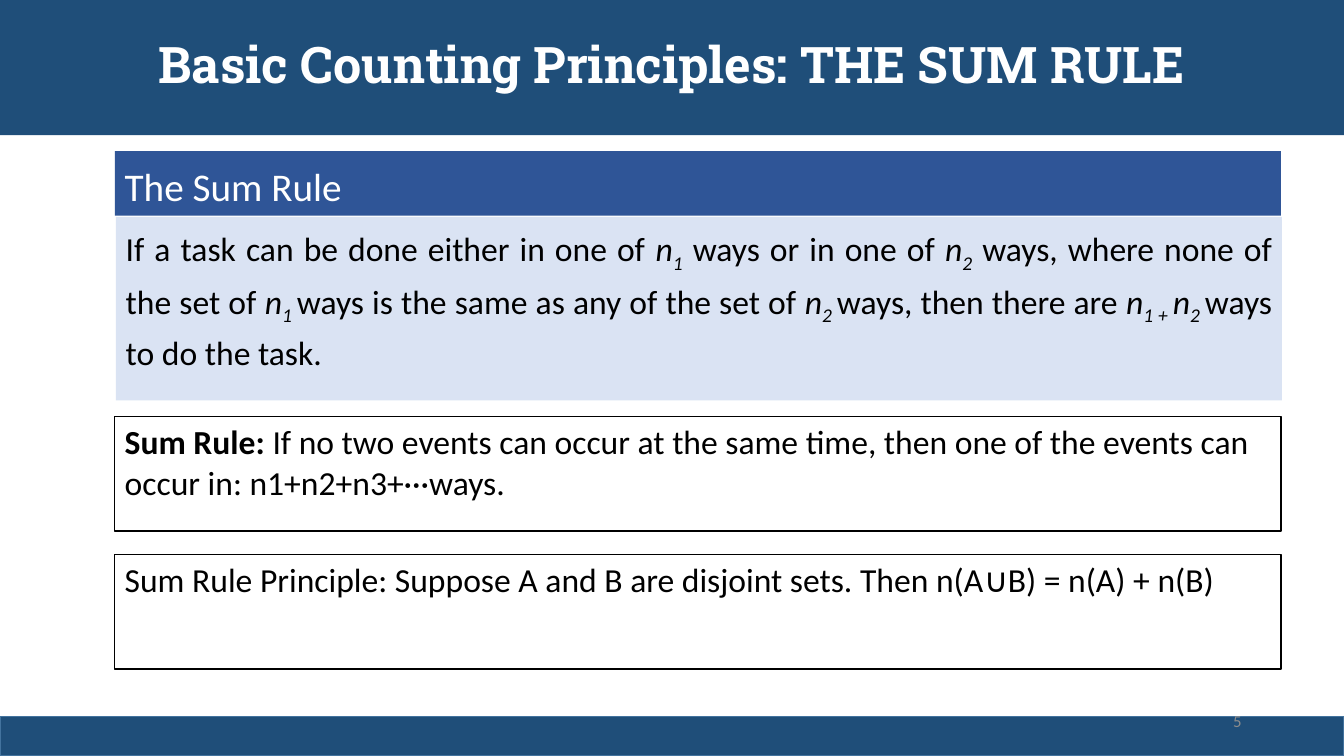
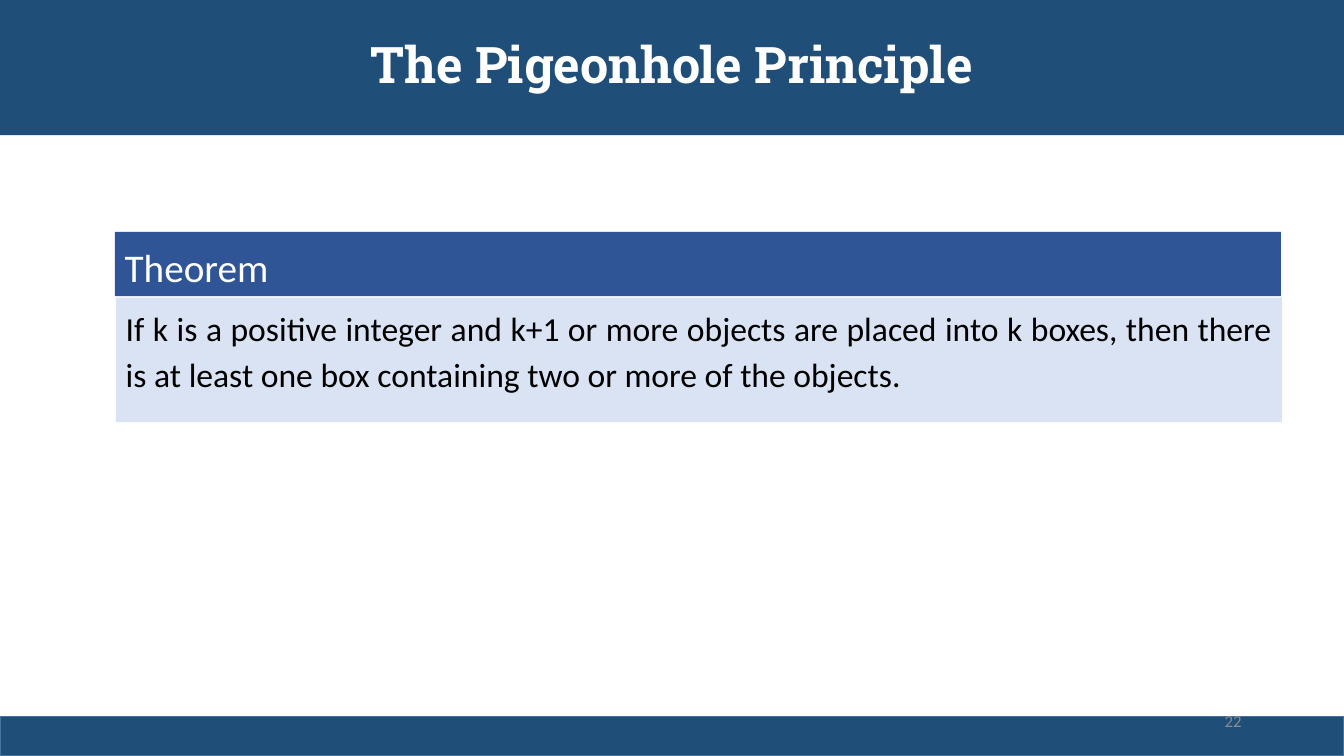
from pptx import Presentation
from pptx.dml.color import RGBColor
from pptx.enum.shapes import MSO_SHAPE
from pptx.enum.text import MSO_ANCHOR, PP_ALIGN
from pptx.util import Pt

COLORS = {
    "band": "1F4E79",
    "band_edge": "43739E",
    "heading": "2F5597",
    "panel": "DAE3F3",
    "white": "FFFFFF",
    "black": "000000",
    "number": "8C8C8C",
}
WIDTH, HEIGHT = 960, 540
LEFT, CONTENT_WIDTH = 82, 833
FOOTER_HEIGHT = 28


def add_box(page, left, top, width, height, fill=None, line=None):
    box = page.shapes.add_shape(MSO_SHAPE.RECTANGLE, Pt(left), Pt(top), Pt(width), Pt(height))
    box.shadow.inherit = False
    if fill:
        box.fill.solid()
        box.fill.fore_color.rgb = RGBColor.from_string(COLORS[fill])
    else:
        box.fill.background()
    if line:
        box.line.color.rgb = RGBColor.from_string(COLORS[line])
        box.line.width = Pt(1)
    else:
        box.line.fill.background()
    return box


def write(box, runs, size, color, font="Calibri", align=PP_ALIGN.LEFT,
          anchor=MSO_ANCHOR.TOP, spacing=None):
    frame = box.text_frame
    frame.word_wrap = True
    frame.vertical_anchor = anchor
    para = frame.paragraphs[0]
    para.alignment = align
    para.line_spacing = spacing
    for text, style in runs:
        span = para.add_run()
        span.text = text
        span.font.name = font
        span.font.size = Pt(size)
        span.font.color.rgb = RGBColor.from_string(COLORS[color])
        span.font.bold = style == "bold"
        span.font.italic = style in ("italic", "subscript")
        if style == "subscript":
            span.font._element.set("baseline", "-25000")


SLIDES = [
    {
        "title": "Basic Counting Principles: THE SUM RULE",
        "number": "5",
        "heading": "The Sum Rule",
        "top": 108,
        "panel_height": 131,
        "statement": [
            ("If a task can be done either in one of ", ""),
            ("n", "italic"), ("1", "subscript"),
            (" ways or in one of ", ""),
            ("n", "italic"), ("2", "subscript"),
            (" ways, where none of the set of ", ""),
            ("n", "italic"), ("1 ", "subscript"),
            ("ways is the same as any of the set of ", ""),
            ("n", "italic"), ("2 ", "subscript"),
            ("ways, then there are ", ""),
            ("n", "italic"), ("1 + ", "subscript"),
            ("n", "italic"), ("2 ", "subscript"),
            ("ways to do the task.", ""),
        ],
        "notes": [
            [
                ("Sum Rule: ", "bold"),
                ("If no two events can occur at the same time, then one of the events can "
                 "occur in: n1+n2+n3+···ways.", ""),
            ],
            [("Sum Rule Principle: Suppose A and B are disjoint sets. "
              "Then n(A∪B) = n(A) + n(B)", "")],
        ],
    },
    {
        "title": "The Pigeonhole Principle",
        "number": "22",
        "heading": "Theorem",
        "top": 165.6,
        "panel_height": 89,
        "statement": [
            ("If k is a positive integer and k+1 or more objects are placed into k boxes, "
             "then there is at least one box containing two or more of the objects.", ""),
        ],
        "notes": [],
    },
]

deck = Presentation()
deck.slide_width = Pt(WIDTH)
deck.slide_height = Pt(HEIGHT)

for content in SLIDES:
    page = deck.slides.add_slide(deck.slide_layouts[6])

    title = add_box(page, 0, 0, WIDTH, 96.5, "band")
    write(title, [(content["title"], "bold")], 36, "white", "Roboto Slab",
          PP_ALIGN.CENTER, MSO_ANCHOR.MIDDLE, 0.9)
    add_box(page, 0, HEIGHT - FOOTER_HEIGHT, WIDTH, FOOTER_HEIGHT, "band", "band_edge")

    heading = add_box(page, LEFT, content["top"], CONTENT_WIDTH, 46, "heading")
    write(heading, [(content["heading"], "")], 28, "white", spacing=1.14)
    panel = add_box(page, LEFT + 0.75, content["top"] + 47, CONTENT_WIDTH,
                    content["panel_height"], "panel")
    write(panel, content["statement"], 24, "black", align=PP_ALIGN.JUSTIFY, spacing=1.14)

    for index, runs in enumerate(content["notes"]):
        note = add_box(page, LEFT, 297.4 + index * 98.6, CONTENT_WIDTH, 82, "white", "black")
        write(note, runs, 24, "black")

    number = page.shapes.add_textbox(Pt(678), Pt(500.5), Pt(216), Pt(28.8))
    write(number, [(content["number"], "")], 12, "number",
          align=PP_ALIGN.RIGHT, anchor=MSO_ANCHOR.MIDDLE)

deck.save("out.pptx")
